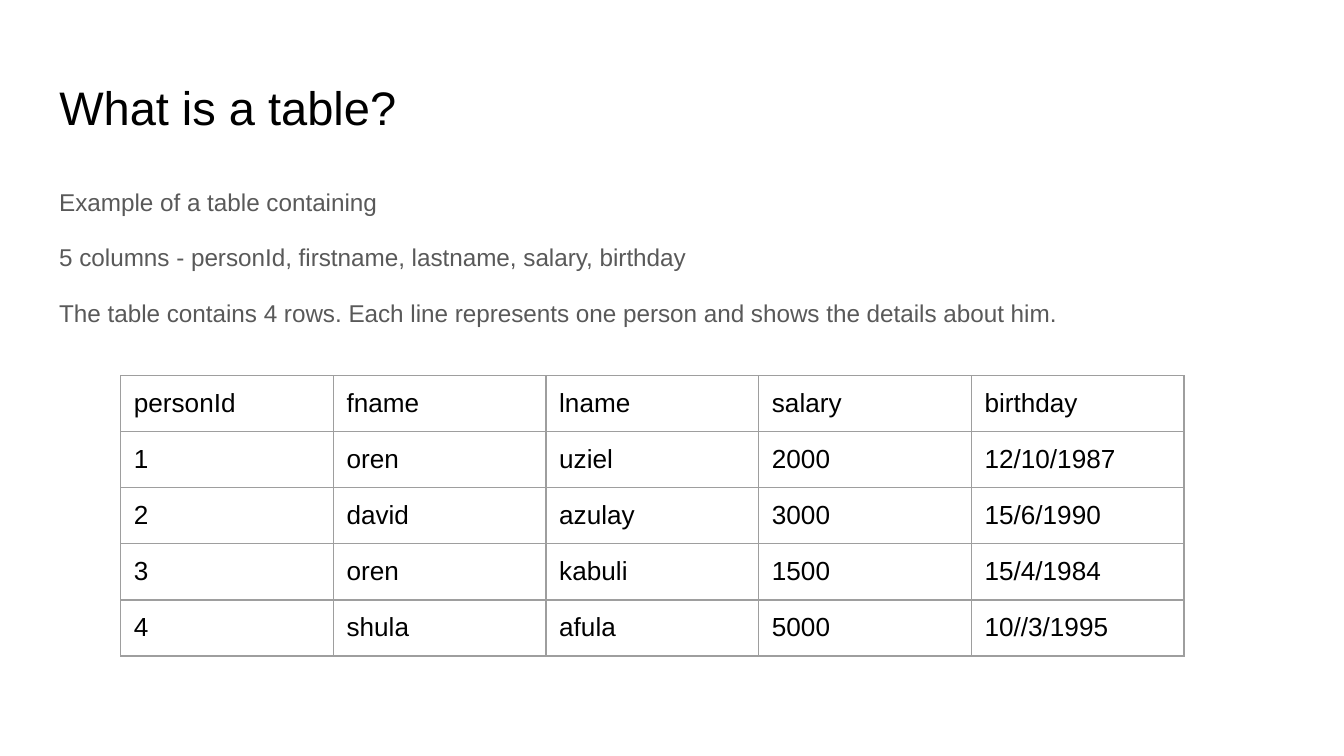
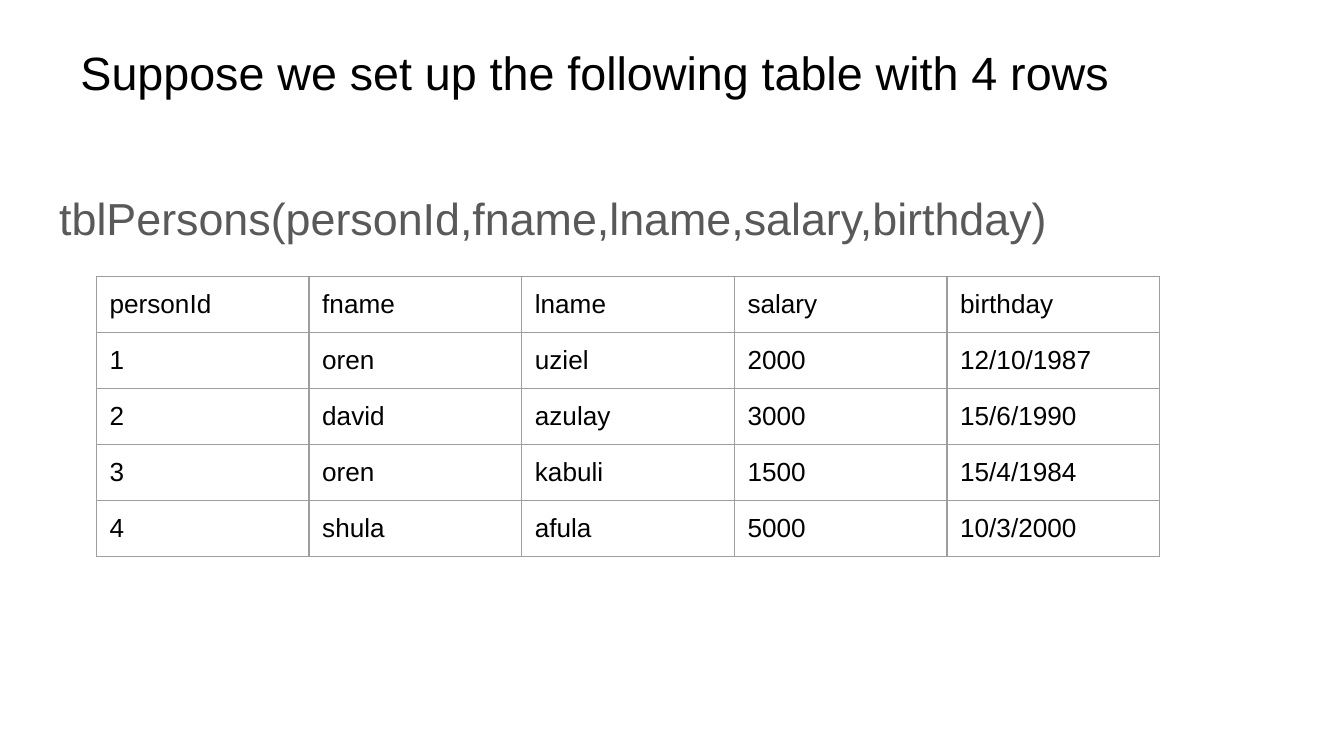
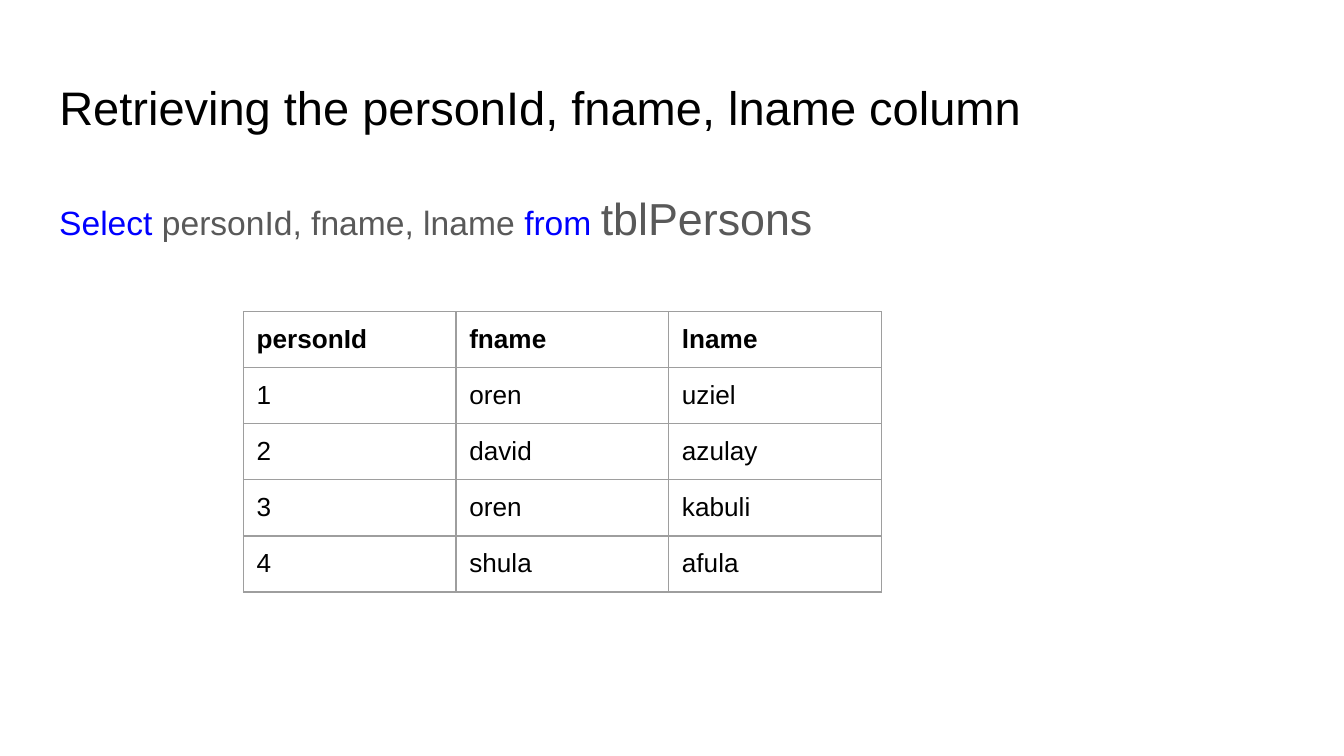
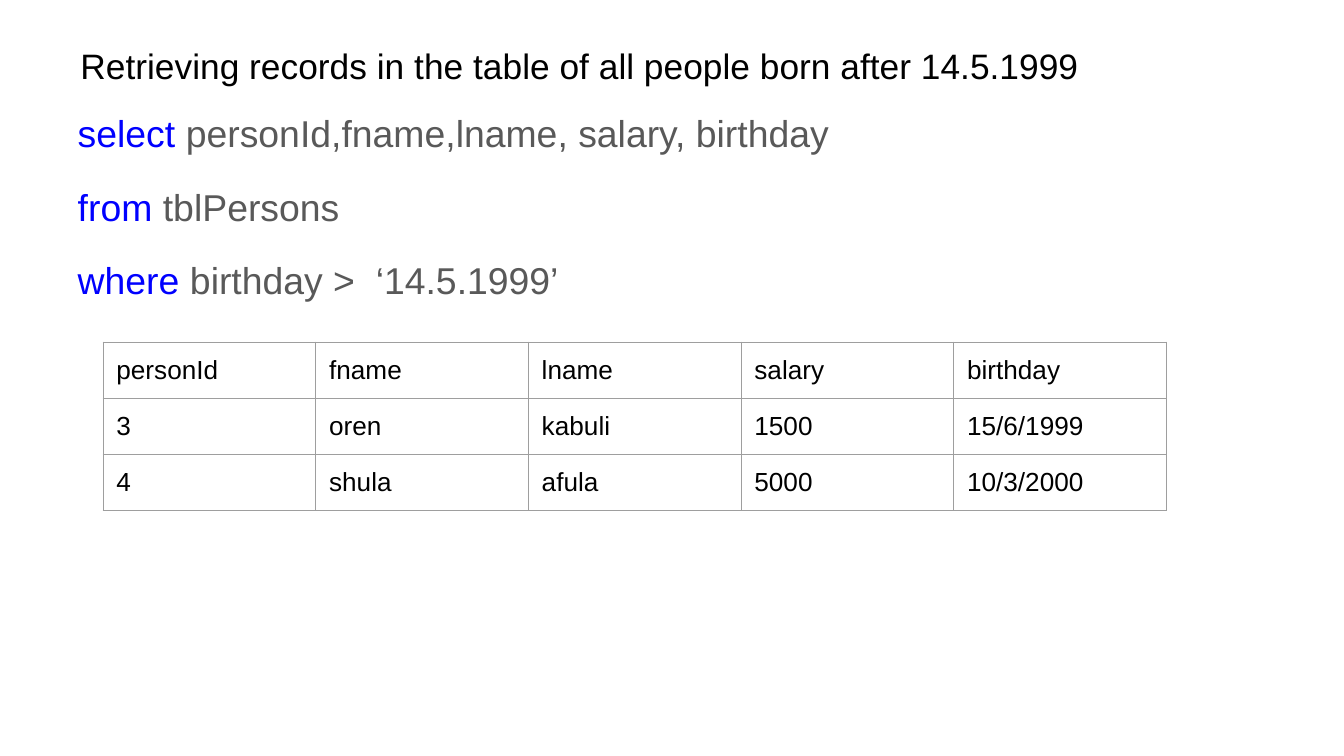
from dataclasses import dataclass

from lxml import etree
from pptx import Presentation
from pptx.dml.color import RGBColor
from pptx.enum.text import MSO_ANCHOR, MSO_AUTO_SIZE, PP_ALIGN
from pptx.oxml.ns import qn
from pptx.slide import Slide
from pptx.text.text import TextFrame, _Paragraph
from pptx.util import Cm, Pt

TOP = MSO_ANCHOR.TOP
NO_FIT = MSO_AUTO_SIZE.NONE
LEFT = PP_ALIGN.LEFT

# Shared style
FONT = "Arial"
COLOURS = {"ink": "000000", "body": "595959", "keyword": "0000FF", "border": "9E9E9E"}
INSET = Cm(0.25)
COLUMN_WIDTH = Cm(4.02)
ROW_HEIGHT = Cm(1.06)
BORDER_WIDTH = Pt(0.75)
TITLE_ONLY = 5

# Table data
HEADERS = ["personId", "fname", "lname", "salary", "birthday"]
PERSONS = [
    ["1", "oren", "uziel", "2000", "12/10/1987"],
    ["2", "david", "azulay", "3000", "15/6/1990"],
    ["3", "oren", "kabuli", "1500", "15/4/1984"],
    ["4", "shula", "afula", "5000", "10//3/1995"],
]


@dataclass
class Area:
    """Position and size in centimetres."""
    left: float
    top: float
    width: float
    height: float


@dataclass
class Span:
    text: str
    colour: str = "body"
    size: float | None = None


@dataclass
class Title:
    text: str
    area: Area
    size: float


@dataclass
class Body:
    lines: list[list[Span]]
    area: Area
    size: float


@dataclass
class Grid:
    rows: list[list[str]]
    left: float
    top: float
    bold_header: bool = False


@dataclass
class Page:
    title: Title
    body: Body
    grid: Grid


def with_birthday(person: list[str], birthday: str) -> list[str]:
    return person[:-1] + [birthday]


LOW_TITLE = Area(0.87, 1.24, 23.67, 1.6)
WIDE_BODY = Area(0.87, 3.2, 23.67, 9.5)
SHULA_2000 = with_birthday(PERSONS[3], "10/3/2000")

PAGES = [
    Page(
        Title("What is a table?", LOW_TITLE, 25.2),
        Body([
            [Span("Example of a table containing")],
            [Span("5 columns - personId, firstname, lastname, salary, birthday")],
            [Span("The table contains 4 rows. Each line represents one person "
                  "and shows the details about him.")],
        ], WIDE_BODY, 13),
        Grid([HEADERS] + PERSONS, 2.28, 7.1),
    ),
    Page(
        Title("Suppose we set up the following table with 4 rows",
              Area(1.27, 0.58, 22.86, 1.63), 25),
        Body([[Span("tblPersons(personId,fname,lname,salary,birthday)")]], WIDE_BODY, 24),
        Grid([HEADERS] + PERSONS[:3] + [SHULA_2000], 1.82, 5.22),
    ),
    Page(
        Title("Retrieving the personId, fname, lname column", LOW_TITLE, 25.2),
        Body([[Span("Select", "keyword"), Span(" personId, fname, lname "),
               Span("from ", "keyword"), Span("tblPersons", size=24)]], WIDE_BODY, 18),
        Grid([row[:3] for row in [HEADERS] + PERSONS], 4.6, 5.89, bold_header=True),
    ),
    Page(
        Title("Retrieving records in the table of all people born after 14.5.1999",
              Area(1.27, 0.58, 22.86, 1.19), 18.9),
        Body([
            [Span("select", "keyword"), Span(" personId,fname,lname, salary, birthday")],
            [Span("from", "keyword"), Span(" tblPersons")],
            [Span("where", "keyword"), Span(" birthday >  ‘14.5.1999’")],
        ], Area(1.22, 1.7, 22.86, 10.34), 20),
        Grid([HEADERS, with_birthday(PERSONS[2], "15/6/1999"), SHULA_2000], 1.95, 6.47),
    ),
]


def rgb(name: str) -> RGBColor:
    return RGBColor.from_string(COLOURS[name])


def style_paragraph(paragraph: _Paragraph, size: float, colour: str, bold: bool = False) -> None:
    paragraph.alignment = LEFT
    font = paragraph.font
    font.name, font.size, font.bold = FONT, Pt(size), bold
    font.color.rgb = rgb(colour)


def prepare_frame(frame: TextFrame) -> None:
    frame.word_wrap = True
    frame.auto_size = NO_FIT
    frame.vertical_anchor = TOP
    frame.margin_left = frame.margin_right = INSET
    frame.margin_top = frame.margin_bottom = INSET


def draw_title(slide: Slide, title: Title) -> None:
    box, area = slide.shapes.title, title.area
    box.left, box.top = Cm(area.left), Cm(area.top)
    box.width, box.height = Cm(area.width), Cm(area.height)
    prepare_frame(box.text_frame)
    box.text_frame.text = title.text
    style_paragraph(box.text_frame.paragraphs[0], title.size, "ink")


def draw_body(slide: Slide, body: Body) -> None:
    area = body.area
    box = slide.shapes.add_textbox(Cm(area.left), Cm(area.top), Cm(area.width), Cm(area.height))
    frame = box.text_frame
    prepare_frame(frame)
    for index, line in enumerate(body.lines):
        paragraph = frame.add_paragraph() if index else frame.paragraphs[0]
        style_paragraph(paragraph, body.size, "body")
        paragraph.line_spacing = 1.15
        paragraph.space_before = Pt(12 if index else 0)
        for span in line:
            run = paragraph.add_run()
            run.text = span.text
            if span.colour != "body":
                run.font.color.rgb = rgb(span.colour)
            if span.size:
                run.font.size = Pt(span.size)


def add_borders(cell) -> None:
    properties = cell._tc.get_or_add_tcPr()
    for side in ("a:lnL", "a:lnR", "a:lnT", "a:lnB"):
        line = etree.SubElement(properties, qn(side), w=str(int(BORDER_WIDTH)))
        fill = etree.SubElement(line, qn("a:solidFill"))
        etree.SubElement(fill, qn("a:srgbClr"), val=COLOURS["border"])


def draw_grid(slide: Slide, grid: Grid) -> None:
    row_count, column_count = len(grid.rows), len(grid.rows[0])
    table = slide.shapes.add_table(
        row_count, column_count, Cm(grid.left), Cm(grid.top),
        COLUMN_WIDTH * column_count, ROW_HEIGHT * row_count).table
    table.first_row = table.horz_banding = False
    for row_index, row in enumerate(grid.rows):
        for column_index, text in enumerate(row):
            cell = table.cell(row_index, column_index)
            cell.text = text
            cell.margin_left = cell.margin_right = INSET
            cell.margin_top = cell.margin_bottom = INSET
            add_borders(cell)
            cell.fill.background()
            style_paragraph(cell.text_frame.paragraphs[0], 14, "ink",
                            bold=grid.bold_header and row_index == 0)


def main() -> None:
    deck = Presentation()
    deck.slide_width, deck.slide_height = Cm(25.4), Cm(14.29)
    for page in PAGES:
        slide = deck.slides.add_slide(deck.slide_layouts[TITLE_ONLY])
        draw_title(slide, page.title)
        draw_body(slide, page.body)
        draw_grid(slide, page.grid)
    deck.save("out.pptx")


if __name__ == "__main__":
    main()
